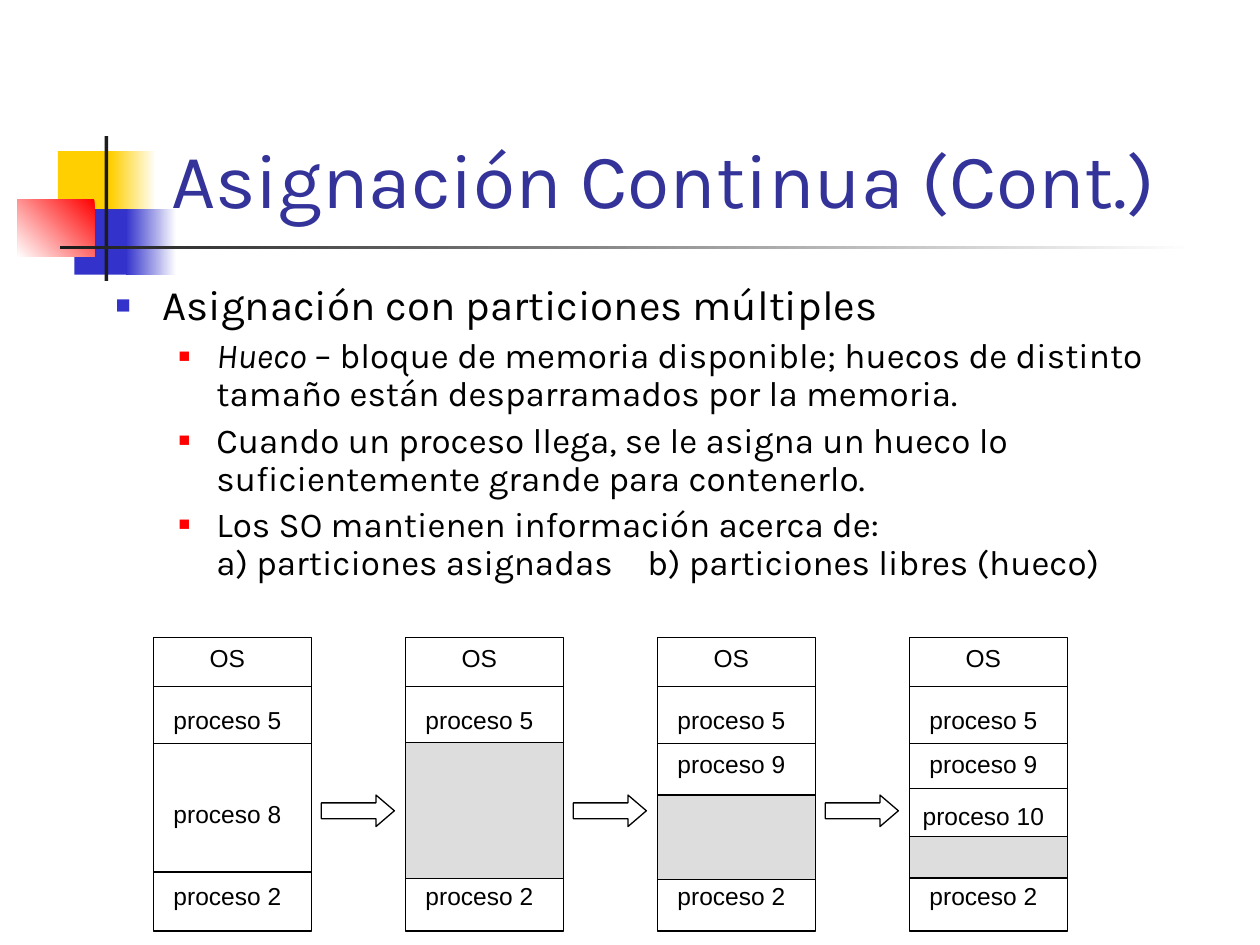
from lxml import etree
from pptx import Presentation
from pptx.dml.color import RGBColor
from pptx.enum.shapes import MSO_CONNECTOR as Connector, MSO_SHAPE as Shape
from pptx.enum.text import MSO_ANCHOR as Anchor, MSO_AUTO_SIZE as AutoSize, PP_ALIGN as Align
from pptx.oxml.ns import qn
from pptx.util import Inches, Pt

COLORS = {
    "white": "FFFFFF", "black": "000000", "yellow": "FFCF01", "blue": "3333CC",
    "red": "FF0000", "dark": "1C1C1C", "title": "333399", "hole": "DDDDDD",
}

# left, top, width, height, fill or (start, end, counter-clockwise angle)
ORNAMENT = [
    (0.46, 1.2, 0.48, 0.52, "yellow"),
    (0.88, 1.2, 0.36, 0.52, ("white", "yellow", 180)),
    (0.59, 1.66, 0.46, 0.52, "blue"),
    (1, 1.66, 0.4, 0.52, ("white", "blue", 180)),
    (0.14, 1.58, 0.61, 0.46, ("red", "white", 225)),
    (0.83, 1.08, 0.03, 1.15, "dark"),
    (0.48, 1.95, 9, 0.03, ("white", "dark", 180)),
]

HEADING = "Asignación con particiones múltiples"
POINTS = [
    "Hueco – bloque de memoria disponible; huecos de distinto tamaño están "
    "desparramados por la memoria.",
    "Cuando un proceso llega, se le asigna un hueco lo suficientemente grande para contenerlo.",
    "Los SO mantienen información acerca de:\va) particiones asignadas\tb) particiones libres (hueco)",
]
TERM = "Hueco"

MEMORY_TOP, MEMORY_WIDTH, MEMORY_HEIGHT = 5.06, 1.25, 2.33
FIRST_LEFT, MEMORY_STEP = 1.22, 2
COMMON_DIVIDERS = [5.45, 5.9, 6.92]
COMMON_LABELS = [("OS", 5.05), ("proceso 5", 5.54), ("proceso 2", 6.94)]
# Each state: own labels, free hole (top, height), own dividers
STATES = [
    ([("proceso 8", 6.29)], None, []),
    ([], (5.89, 1.08), []),
    ([("proceso 9", 5.89)], (6.31, 0.67), []),
    ([("proceso 9", 5.89), ("proceso 10", 6.3)], (6.64, 0.33), [6.26]),
]


def rgb(name):
    return RGBColor.from_string(COLORS[name])


class SlideBuilder:
    heading_font, label_font, line_width = "Karla", "Arial", Pt(0.75)

    def __init__(self, slide):
        self.slide = slide

    def style(self, run, font, size, color="black"):
        run.font.name, run.font.size = font, Pt(size)
        run.font.color.rgb = rgb(color)

    def shape(self, left, top, width, height, fill, outlined=True, kind=Shape.RECTANGLE):
        shape = self.slide.shapes.add_shape(
            kind, Inches(left), Inches(top), Inches(width), Inches(height))
        shape.shadow.inherit = False
        if isinstance(fill, tuple):
            start, end, angle = fill
            shape.fill.gradient()
            shape.fill.gradient_angle = angle
            for stop, name in zip(shape.fill.gradient_stops, (start, end)):
                stop.color.rgb = rgb(name)
        else:
            shape.fill.solid()
            shape.fill.fore_color.rgb = rgb(fill)
        if outlined:
            shape.line.color.rgb = rgb("black")
            shape.line.width = self.line_width
        else:
            shape.line.fill.background()
        return shape

    def arrow(self, left, top, width, height):
        arrow = self.shape(left, top, width, height, "white", kind=Shape.RIGHT_ARROW)
        arrow.adjustments[1] = 0.583

    def divider(self, left, top, width):
        line = self.slide.shapes.add_connector(
            Connector.STRAIGHT, Inches(left), Inches(top), Inches(left + width), Inches(top))
        line.line.color.rgb = rgb("black")
        line.line.width = self.line_width
        etree.SubElement(line.element.spPr, qn("a:effectLst"))

    def text_box(self, left, top, width, height):
        box = self.slide.shapes.add_textbox(
            Inches(left), Inches(top), Inches(width), Inches(height))
        box.text_frame.word_wrap = True
        return box.text_frame

    def label(self, text, left, top):
        frame = self.text_box(left, top, 1.17, 0.34)
        frame.vertical_anchor = Anchor.MIDDLE
        frame.auto_size = AutoSize.SHAPE_TO_FIT_TEXT
        frame.text = text
        paragraph = frame.paragraphs[0]
        paragraph.alignment = Align.CENTER
        self.style(paragraph.runs[0], self.label_font, 14)

    def title(self, text):
        title = self.slide.shapes.title
        title.left, title.top = Inches(1.26), Inches(0.23)
        title.width, title.height = Inches(8.52), Inches(1.6)
        title.element.getparent().append(title.element)  # in front of the ornament
        frame = title.text_frame
        frame.text = text
        frame.vertical_anchor = Anchor.BOTTOM
        frame.auto_size = AutoSize.NONE
        paragraph = frame.paragraphs[0]
        paragraph.alignment = Align.LEFT
        self.style(paragraph.runs[0], self.heading_font, 44, "title")

    def bullet(self, paragraph, color, percent, margin, hanging, tabs=()):
        properties = paragraph._p.get_or_add_pPr()
        properties.set("marL", str(Inches(margin)))
        properties.set("indent", str(-Inches(hanging)))

        def add(parent, tag, **attributes):
            return etree.SubElement(parent, qn(tag), attributes)

        add(add(properties, "a:buClr"), "a:srgbClr", val=COLORS[color])
        add(properties, "a:buSzPct", val=str(percent * 1000))
        add(properties, "a:buFont", typeface=self.label_font)
        add(properties, "a:buChar", char="■")
        if tabs:
            stops = add(properties, "a:tabLst")
            for position in tabs:
                add(stops, "a:tab", pos=str(Inches(position)), algn="l")

    def outline(self, heading, points):
        frame = self.text_box(0.82, 2.21, 8.97, 2.71)
        for index, text in enumerate([heading, *points]):
            paragraph = frame.add_paragraph() if index else frame.paragraphs[0]
            paragraph.line_spacing = 0.9
            if index:
                paragraph.level = 1
                paragraph.space_before = Pt(5)
                # The first stop serves viewers that measure tabs from the indent
                tabs = (3.42, 4.22) if "\t" in text else ()
                self.bullet(paragraph, "red", 55, 0.8, 0.3, tabs)
            else:
                self.bullet(paragraph, "blue", 60, 0.37, 0.37)
            if text.startswith(TERM):
                paragraph.text = TERM
                paragraph.runs[0].font.italic = True
                paragraph.add_run().text = text.removeprefix(TERM)
            else:
                paragraph.text = text
            for run in paragraph.runs:
                self.style(run, self.heading_font, 20 if index else 24)

    def memory(self, left, labels, hole, dividers):
        self.shape(left, MEMORY_TOP, MEMORY_WIDTH, MEMORY_HEIGHT, "white")
        for top in COMMON_DIVIDERS + dividers:
            self.divider(left, top, MEMORY_WIDTH)
        if hole:
            top, height = hole
            self.shape(left, top, MEMORY_WIDTH, height, "hole")
        for text, top in COMMON_LABELS + labels:
            self.label(text, left, top)


def main():
    deck = Presentation()
    deck.slide_width, deck.slide_height = Inches(10), Inches(7.5)
    builder = SlideBuilder(deck.slides.add_slide(deck.slide_layouts[5]))

    for *box, fill in ORNAMENT:
        builder.shape(*box, fill, outlined=False)
    builder.title("Asignación Continua (Cont.)")
    builder.outline(HEADING, POINTS)

    for index, state in enumerate(STATES):
        left = FIRST_LEFT + index * MEMORY_STEP
        builder.memory(left, *state)
        if index < len(STATES) - 1:
            builder.arrow(left + 1.33, 6.31, 0.58, 0.25)

    deck.save("out.pptx")


if __name__ == "__main__":
    main()
